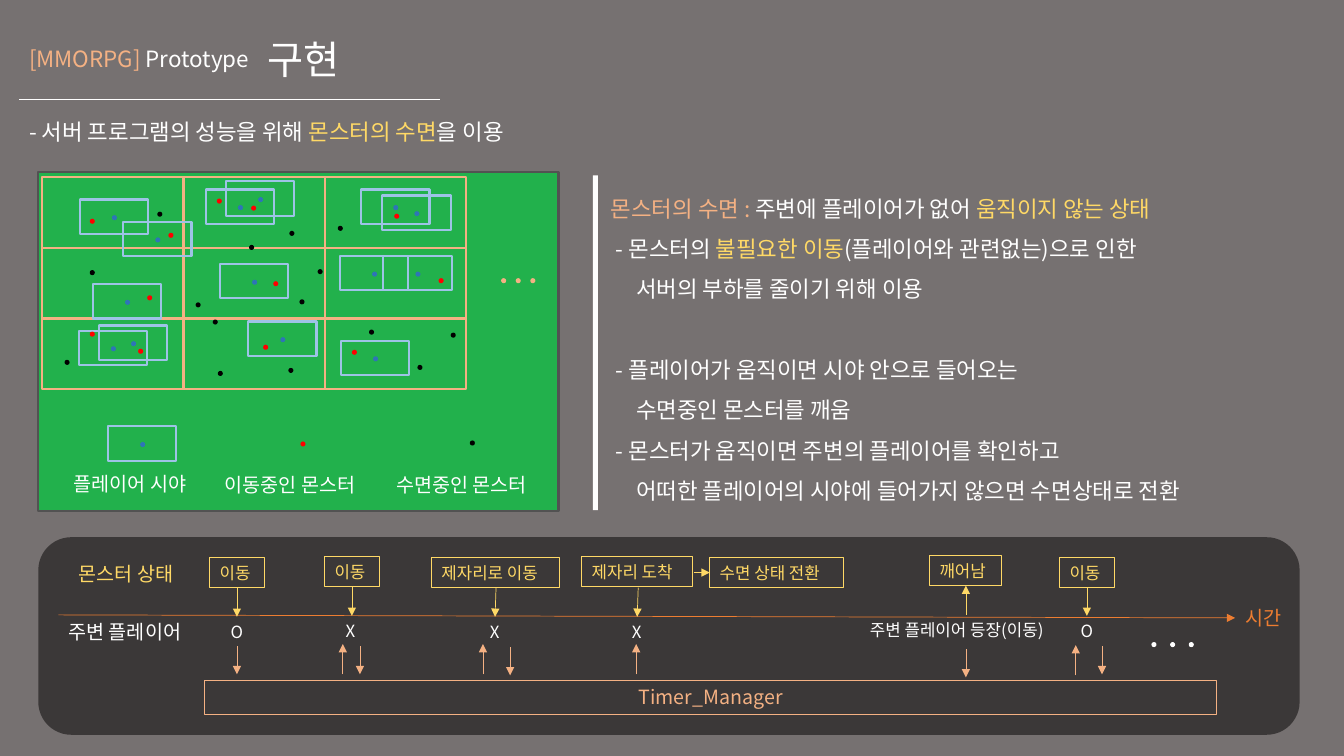
"""Build the monster sleep slide: field map, explanation and state timeline."""
import pptx
import pptx.util
import pptx.dml.color
import pptx.enum.shapes
import pptx.enum.text
import pptx.oxml
import pptx.oxml.ns

Inches = pptx.util.Inches
Pt = pptx.util.Pt
SHAPE = pptx.enum.shapes.MSO_SHAPE
ANCHOR = pptx.enum.text.MSO_ANCHOR
ALIGN = pptx.enum.text.PP_ALIGN
FIT = pptx.enum.text.MSO_AUTO_SIZE

THEME = {
    "font": "Noto Sans CJK KR",
    "background": "767171", "white": "FFFFFF", "peach": "F4B183", "yellow": "FFD966",
    "orange": "ED7D31", "green": "22B14C", "field_edge": "525252", "view": "9DC3E6",
    "player": "2E75B6", "awake": "FF0000", "asleep": "000000", "panel": "3B3838",
    "title": 28, "body": 16, "label": 14, "state": 12,
}

HEADER = [("[MMORPG] ", "peach"), ("Prototype", "white")]
TITLE = [("구현", "white")]
SUMMARY = [("- 서버 프로그램의 성능을 위해 ", "white"), ("몬스터의 수면", "yellow"), ("을 이용", "white")]

DASH, CONTINUED, GAP = 0.05, 0.25, 28.8
EXPLANATION = [
    (0, 0, [("몬스터의 수면 : ", "peach"), ("주변에 플레이어가 없어 ", "white"),
            ("움직이지 않는 상태", "yellow")]),
    (DASH, 0, [("- 몬스터의 ", "white"), ("불필요한 이동", "yellow"),
               ("(플레이어와 관련없는)으로 인한", "white")]),
    (CONTINUED, 0, [("서버의 부하를 줄이기 위해 이용", "white")]),
    (DASH, GAP, [("- 플레이어가 움직이면 시야 안으로 들어오는", "white")]),
    (CONTINUED, 0, [("수면중인 몬스터를 깨움", "white")]),
    (DASH, 0, [("- 몬스터가 움직이면 주변의 플레이어를 확인하고", "white")]),
    (CONTINUED, 0, [("어떠한 플레이어의 시야에 들어가지 않으면 수면상태로 전환", "white")]),
]

PLAYER_VIEWS = [
    (0.79, 1.98), (1.22, 2.2), (2.04, 1.88), (2.24, 1.8), (2.46, 3.19), (0.92, 2.82),
    (3.37, 2.54), (2.18, 2.62), (0.78, 3.28), (3.79, 1.94), (3.38, 3.38), (3.8, 2.54),
    (1.07, 4.23), (3.58, 1.88), (0.98, 3.23),
]
DOTS = {
    "awake": [(2.71, 2.79), (1.37, 3.46), (3.91, 2.12), (2.98, 4.38), (0.89, 3.29),
              (4.35, 2.76), (2.49, 2.04), (2.15, 1.97), (1.67, 2.31), (0.89, 2.17),
              (1.46, 2.93), (3.49, 3.47), (2.61, 3.42)],
    "asleep": [(1.94, 3), (3.35, 2.24), (1.56, 2.1), (3.66, 3.27), (2.86, 3.65), (2.11, 3.17),
               (0.89, 2.68), (4.14, 3.62), (0.64, 3.57), (2.16, 3.68), (3.15, 2.67),
               (4.47, 3.3), (4.66, 4.37), (2.97, 2.97), (2.47, 2.43), (2.87, 2.29)],
    "peach": [(4.97 + 0.145 * step, 2.76) for step in range(3)],
}
TIME_DOTS = [(11.42 + 0.185 * step, 6.37) for step in range(3)]

LABELS = [
    ("플레이어 시야", 0.63, 4.63, 1.45, "white"),
    ("이동중인 몬스터", 2.13, 4.64, 1.64, "white"),
    ("수면중인 몬스터", 3.83, 4.64, 1.64, "white"),
]
TIMELINE_LABELS = [
    ("시간", 12.25, 5.96, 0.59, "orange"),
    ("주변 플레이어", 0.58, 6.1, 1.45, "white"),
    ("몬스터 상태", 0.68, 5.53, 1.25, "yellow"),
]
STATES = [
    ("이동", 2.08, 5.53, 0.54), ("이동", 3.22, 5.52, 0.54), ("제자리로 이동", 4.28, 5.53, 1.27),
    ("제자리 도착", 5.77, 5.52, 1.1), ("수면 상태 전환", 7.04, 5.53, 1.33),
    ("깨어남", 9.22, 5.51, 0.71), ("이동", 10.51, 5.53, 0.54),
]
NEARBY = [
    ("O", 2.19, 6.12, 0.33), ("X", 3.33, 6.11, 0.3), ("X", 4.76, 6.12, 0.3),
    ("X", 6.17, 6.12, 0.3), ("주변 플레이어 등장(이동)", 8.53, 6.1, 2.11), ("O", 10.62, 6.11, 0.33),
]
STATE_ARROWS = [
    (2.35, 5.83, 2.35, 6.12), (3.49, 5.82, 3.49, 6.11), (4.92, 5.83, 4.91, 6.12),
    (6.33, 5.83, 6.32, 6.12), (10.78, 5.83, 10.78, 6.11), (9.58, 6.1, 9.58, 5.81),
    (6.88, 5.68, 7.04, 5.68),
]
TIMER_CALLS = [(2.35, 6.41), (3.57, 6.41), (5.06, 6.42), (9.58, 6.44), (10.93, 6.41)]
TIMER_EVENTS = [(3.4, 6.69), (4.79, 6.69), (6.31, 6.69), (10.67, 6.7)]


def color(name):
    return pptx.dml.color.RGBColor.from_string(THEME[name])


def assign(target, values):
    for name, value in values.items():
        setattr(target, name, value)


def write(box, paragraphs, size, frame=None, layout=None):
    text = box.text_frame
    assign(text, {"word_wrap": True, "vertical_anchor": ANCHOR.TOP, **(frame or {})})
    for index, (indent, before, spans) in enumerate(paragraphs):
        para = text.paragraphs[0] if index == 0 else text.add_paragraph()
        assign(para, {"alignment": ALIGN.LEFT, **(layout or {})})
        if before:
            para.space_before = Pt(before)
        if indent:
            para._p.get_or_add_pPr().set("marL", str(Inches(indent)))
        for words, tint in spans:
            span = para.add_run()
            span.text = words
            assign(span.font, {"name": THEME["font"], "size": Pt(THEME[size])})
            span.font.color.rgb = color(tint)
            east_asian = pptx.oxml.parse_xml(
                '<a:ea %s typeface="%s"/>' % (pptx.oxml.ns.nsdecls("a"), THEME["font"]))
            span._r.get_or_add_rPr().append(east_asian)


def add_text(page, place, paragraphs, size, frame=None, layout=None):
    box = page.shapes.add_textbox(*map(Inches, place))
    write(box, paragraphs, size, frame, layout)


def add_block(page, kind, place, fill=None, line=None, width=1.5):
    block = page.shapes.add_shape(kind, *map(Inches, place))
    block.shadow.inherit = False
    if fill:
        block.fill.solid()
        block.fill.fore_color.rgb = color(fill)
    else:
        block.fill.background()
    if line:
        block.line.color.rgb = color(line)
        block.line.width = Pt(width)
    else:
        block.line.fill.background()
    return block


def add_dot(page, left, top, fill):
    add_block(page, SHAPE.OVAL, (left, top, 0.05, 0.05), fill)


def add_line(page, ends, tint, arrow=True):
    straight = pptx.enum.shapes.MSO_CONNECTOR.STRAIGHT
    connector = page.shapes.add_connector(straight, *map(Inches, ends))
    connector.line.color.rgb = color(tint)
    connector.line.width = Pt(0.5)
    namespace = pptx.oxml.ns.nsdecls("a")
    if arrow:
        connector.line._get_or_add_ln().append(
            pptx.oxml.parse_xml('<a:tailEnd %s type="triangle"/>' % namespace))
    connector._element.spPr.append(pptx.oxml.parse_xml("<a:effectLst %s/>" % namespace))


def add_labels(page, labels):
    for words, left, top, width, tint in labels:
        add_text(page, (left, top, width, 0.34), [(0, 0, [(words, tint)])], "label", TIGHT)


TIGHT = {"word_wrap": False, "auto_size": FIT.SHAPE_TO_FIT_TEXT}
MIDDLE = {"vertical_anchor": ANCHOR.MIDDLE}


def add_heading(page):
    add_text(page, (0.19, 0.4, 2.98, 0.37), [(0, 0, HEADER)], "body")
    add_text(page, (2.56, 0.17, 1.8, 0.89), [(0, 0, TITLE)], "title", MIDDLE, {"line_spacing": 0.9})
    add_line(page, (4.36, 0.99, 0.19, 0.99), "white", arrow=False)
    add_text(page, (0.19, 0.99, 8.01, 0.45), [(0, 0, SUMMARY)], "body", None, {"line_spacing": 1.5})


def add_field(page):
    add_block(page, SHAPE.RECTANGLE, (0.38, 1.71, 5.16, 3.36), "green", "field_edge")
    for cell in range(9):
        row, column = divmod(cell, 3)
        place = (0.42 + 1.4 * column, 1.76 + 0.7 * row, 1.4, 0.7)
        add_block(page, SHAPE.RECTANGLE, place, line="peach")
    for left, top in PLAYER_VIEWS:
        add_block(page, SHAPE.RECTANGLE, (left, top, 0.68, 0.34), line="view")
        add_dot(page, left + 0.32, top + 0.155, "player")
    for state, places in DOTS.items():
        for left, top in places:
            add_dot(page, left, top, state)
    add_labels(page, LABELS)


def add_explanation(page):
    add_text(page, (5.96, 1.74, 6.59, 3.32), EXPLANATION, "body", MIDDLE, {"line_spacing": 1.5})
    add_block(page, SHAPE.RECTANGLE, (5.88, 1.74, 0.05, 3.32), "white")


def add_timeline(page):
    add_block(page, SHAPE.ROUNDED_RECTANGLE, (0.38, 5.33, 12.51, 1.96), "panel")
    add_line(page, (0.58, 6.1, 12.25, 6.13), "orange")
    add_labels(page, TIMELINE_LABELS)
    timer = add_block(page, SHAPE.RECTANGLE, (2.03, 6.75, 10.04, 0.34), None, "peach", 0.75)
    write(timer, [(0, 0, [("Timer_Manager", "peach")])], "label", None, {"alignment": ALIGN.CENTER})
    for words, left, top, width in STATES:
        box = add_block(page, SHAPE.RECTANGLE, (left, top, width, 0.3), None, "yellow", 0.75)
        write(box, [(0, 0, [(words, "yellow")])], "state", TIGHT)
    for words, left, top, width in NEARBY:
        add_text(page, (left, top, width, 0.3), [(0, 0, [(words, "white")])], "state", TIGHT)
    for ends in STATE_ARROWS:
        add_line(page, ends, "yellow")
    for arrows, rise in ((TIMER_CALLS, 0.28), (TIMER_EVENTS, -0.3)):
        for left, top in arrows:
            add_line(page, (left, top, left, top + rise), "peach")
    for left, top in TIME_DOTS:
        add_dot(page, left, top, "white")


def main():
    deck = pptx.Presentation()
    assign(deck, {"slide_width": Inches(13.33), "slide_height": Inches(7.5)})
    page = deck.slides.add_slide(deck.slide_layouts[6])
    page.background.fill.solid()
    page.background.fill.fore_color.rgb = color("background")
    for add_part in (add_heading, add_field, add_explanation, add_timeline):
        add_part(page)
    deck.save("out.pptx")


if __name__ == "__main__":
    main()
